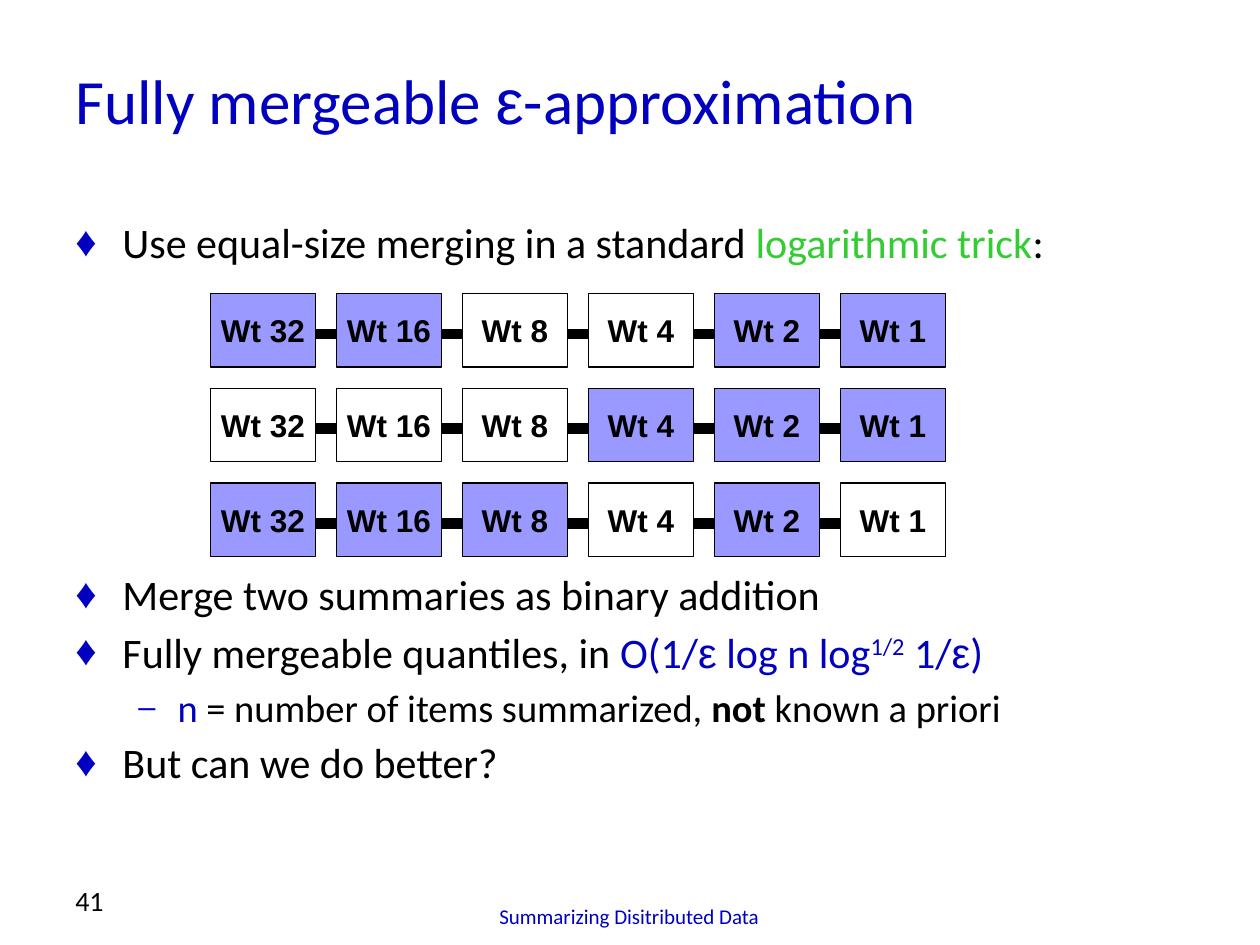
from lxml import etree
from pptx import Presentation
from pptx import util as u
from pptx.dml.color import RGBColor
from pptx.enum import shapes, text
from pptx.oxml import ns

BLUE = RGBColor(0x00, 0x00, 0xBE)
GREEN = RGBColor(0x33, 0xCC, 0x33)
LILAC = RGBColor(0x99, 0x99, 0xFF)
BLACK = RGBColor(0x00, 0x00, 0x00)
WHITE = RGBColor(0xFF, 0xFF, 0xFF)

prs = Presentation()
prs.slide_width, prs.slide_height = u.Cm(25.4), u.Cm(19.05)
slide = prs.slides.add_slide(prs.slide_layouts[6])


def add_frame(left, top, width, height, anchor):
    frame = slide.shapes.add_textbox(u.Cm(left), u.Cm(top), u.Cm(width), u.Cm(height)).text_frame
    frame.word_wrap = True
    frame.vertical_anchor = anchor
    return frame


def add_run(paragraph, words, size, color, font="Calibri", bold=False):
    run = paragraph.add_run()
    run.text = words
    run.font.size = u.Pt(size)
    run.font.name = font
    run.font.bold = bold
    run.font.color.rgb = color
    return run


# Title
title = add_frame(1.27, 0.84, 24.13, 2.34, text.MSO_ANCHOR.MIDDLE).paragraphs[0]
for words, font in [("Fully mergeable ", "Calibri"), ("ε", "Arial"), ("-approximation", "Calibri")]:
    add_run(title, words, 36, BLUE, font)

# Bullet points: level, space before, runs (words, colour, then optional font and bold)
points = [
    (0, 0, [("Use equal-size merging in a standard ", BLACK), ("logarithmic trick", GREEN),
            (":", BLACK)]),
    (0, 172.5, [("Merge two summaries as binary addition", BLACK)]),
    (0, 4, [("Fully mergeable quantiles, in ", BLACK), ("O(1/", BLUE), ("ε", BLUE, "Arial"),
            (" log n log", BLUE), ("1/2", BLUE), (" 1/", BLUE), ("ε", BLUE, "Arial"),
            (")", BLUE)]),
    (1, 4, [("n", BLUE), (" = number of items summarized, ", BLACK),
            ("not", BLACK, "Calibri", True), (" known a priori", BLACK)]),
    (0, 4, [("But can we do better?", BLACK)]),
]
# Per level: left margin, hanging indent, bullet, bullet size in %, text size
levels = [(0.95, 0.95, "♦", 100, 24), (2.06, 0.79, "–", 80, 22)]

body = add_frame(1.27, 4.24, 22.86, 12.07, text.MSO_ANCHOR.TOP)
for index, (level, space, runs) in enumerate(points):
    margin, hanging, bullet, bullet_size, size = levels[level]
    point = body.add_paragraph() if index else body.paragraphs[0]
    point.level = level
    point.space_before = u.Pt(space)
    props = point._p.get_or_add_pPr()
    props.set("marL", str(u.Cm(margin)))
    props.set("indent", str(-u.Cm(hanging)))
    bullet_color = etree.SubElement(props, ns.qn("a:buClr"))
    etree.SubElement(bullet_color, ns.qn("a:srgbClr"), val=str(BLUE))
    etree.SubElement(props, ns.qn("a:buSzPct"), val=str(bullet_size * 1000))
    etree.SubElement(props, ns.qn("a:buFont"), typeface="Arial")
    etree.SubElement(props, ns.qn("a:buChar"), char=bullet)
    for words, color, *style in runs:
        run = add_run(point, words, size, color, *style)
        if words == "1/2":  # exponent
            run.font._element.set("baseline", "30000")

# Weight chains: 1 marks a filled slot; the third row is the sum of the other two
chains = ["110011", "000111", "111010"]
for row, chain in enumerate(chains):
    top = 5.92 + 1.91 * row
    bar_y = u.Cm(top + 0.81)
    bar = slide.shapes.add_connector(shapes.MSO_CONNECTOR.STRAIGHT,
                                     u.Cm(4.45), bar_y, u.Cm(19.05), bar_y)
    bar.line.color.rgb = BLACK
    bar.line.width = u.Pt(6)
    etree.SubElement(bar._element.spPr, ns.qn("a:effectLst"))
    for column, bit in enumerate(chain):
        slot = slide.shapes.add_shape(shapes.MSO_SHAPE.RECTANGLE, u.Cm(4.24 + 2.54 * column),
                                      u.Cm(top), u.Cm(2.12), u.Cm(1.48))
        slot.shadow.inherit = False
        slot.fill.solid()
        slot.fill.fore_color.rgb = LILAC if bit == "1" else WHITE
        slot.line.color.rgb = BLACK
        slot.line.width = u.Pt(0.75)
        slot.text_frame.word_wrap = False
        slot.text_frame.vertical_anchor = text.MSO_ANCHOR.MIDDLE
        weight = slot.text_frame.paragraphs[0]
        weight.alignment = text.PP_ALIGN.CENTER
        add_run(weight, f"Wt {2 ** (5 - column)}", 18, BLACK, "Arial", True)

# Footer and page number
footer = add_frame(6.55, 17.58, 12.27, 1.27, text.MSO_ANCHOR.BOTTOM).paragraphs[0]
footer.alignment = text.PP_ALIGN.CENTER
add_run(footer, "Summarizing Disitributed Data", 12, BLUE)
page_number = add_frame(1.27, 17.35, 5.92, 1.27, text.MSO_ANCHOR.BOTTOM).paragraphs[0]
add_run(page_number, "41", 16, BLACK)

prs.save("out.pptx")
